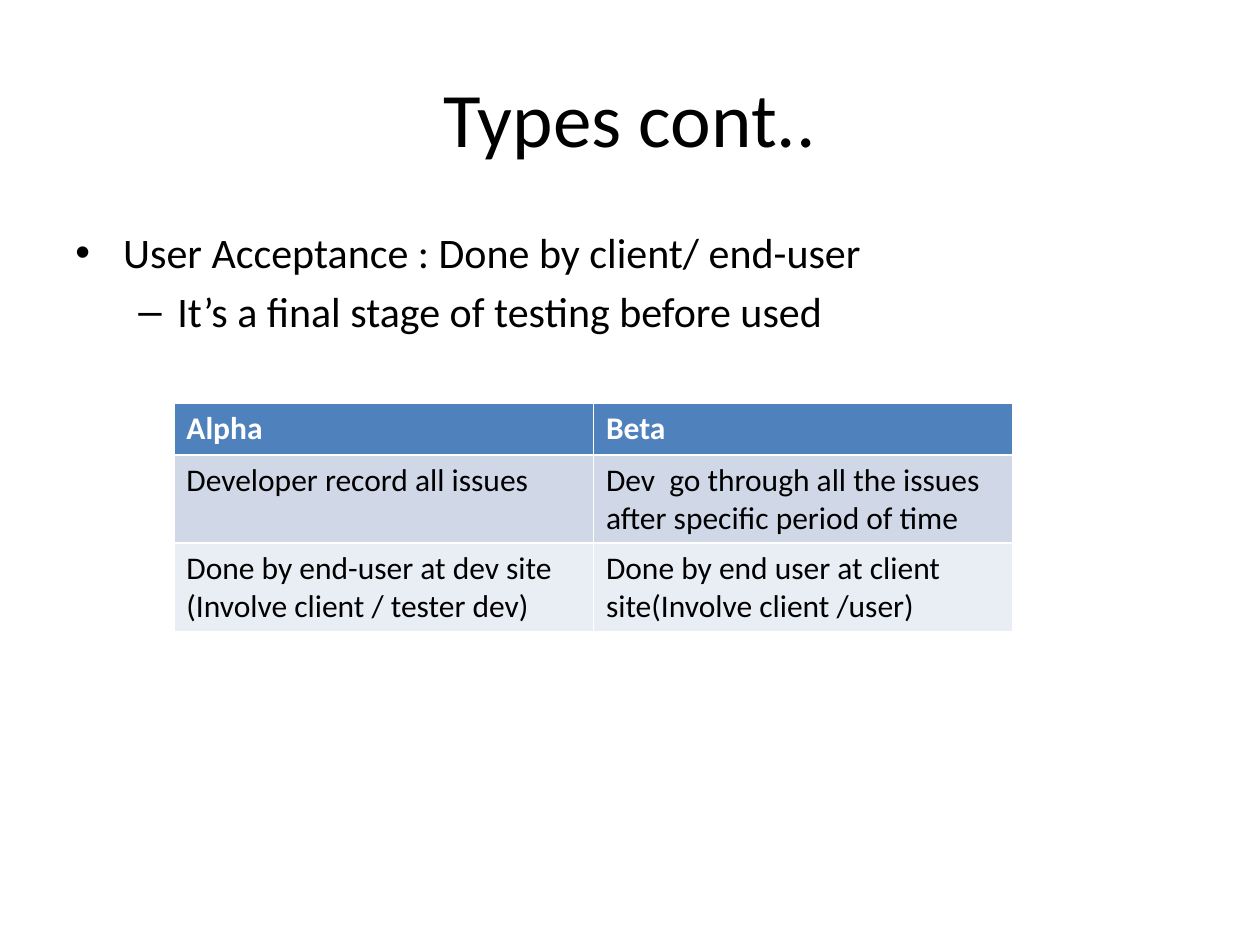
from lxml import etree
from pptx import Presentation
from pptx.dml.color import RGBColor
from pptx.enum.text import MSO_ANCHOR, PP_ALIGN
from pptx.oxml.ns import qn
from pptx.util import Inches, Pt

CENTER, LEFT = PP_ALIGN.CENTER, PP_ALIGN.LEFT
MIDDLE = MSO_ANCHOR.MIDDLE
TITLE_ONLY = 5

TITLE = "Types cont.."
BULLETS = [
    ("User Acceptance : Done by client/ end-user", "•", 0.38, 0.38),
    ("It’s a final stage of testing before used", "–", 0.81, 0.31),
]
ROWS = [
    ("Alpha", "Beta"),
    ("Developer record all issues",
     "Dev  go through all the issues after specific period of time"),
    ("Done by end-user at dev site (Involve client / tester dev)",
     "Done by end user at client site(Involve client /user)"),
]
ROW_FILLS = ["4F81BD", "D0D8E8", "E9EDF4"]
ROW_HEIGHTS = [0.41, 0.7, 0.7]
COLUMN_WIDTH = 3.33


def color(value):
    return RGBColor.from_string(value)


def write(paragraph, text, size=18, fill="000000", bold=False, align=LEFT):
    paragraph.alignment = align
    run = paragraph.add_run()
    run.text = text
    run.font.name = "Calibri"
    run.font.size = Pt(size)
    run.font.bold = bold
    run.font.color.rgb = color(fill)


def add_bullet(paragraph, character, margin, hanging):
    properties = paragraph._p.get_or_add_pPr()
    properties.set("marL", str(Inches(margin)))
    properties.set("indent", str(-Inches(hanging)))
    etree.SubElement(properties, qn("a:buFont"), typeface="Arial")
    etree.SubElement(properties, qn("a:buChar"), char=character)


def add_title(slide):
    title = slide.shapes.title
    title.left, title.top = Inches(0.5), Inches(0.3)
    title.width, title.height = Inches(9), Inches(1.25)
    title.text_frame.vertical_anchor = MIDDLE
    write(title.text_frame.paragraphs[0], TITLE, size=44, align=CENTER)


def add_body(slide):
    box = slide.shapes.add_textbox(Inches(0.5), Inches(1.75), Inches(9), Inches(4.95))
    frame = box.text_frame
    frame.word_wrap = True
    for level, (text, character, margin, hanging) in enumerate(BULLETS):
        paragraph = frame.add_paragraph() if level else frame.paragraphs[0]
        paragraph.level = level
        paragraph.space_before = Pt(4.8)
        add_bullet(paragraph, character, margin, hanging)
        write(paragraph, text, size=24)


def add_comparison(slide):
    columns = len(ROWS[0])
    table = slide.shapes.add_table(
        len(ROWS), columns, Inches(1.38), Inches(3.2),
        Inches(COLUMN_WIDTH * columns), Inches(sum(ROW_HEIGHTS))).table
    for column in table.columns:
        column.width = Inches(COLUMN_WIDTH)
    for index, (texts, fill, height) in enumerate(zip(ROWS, ROW_FILLS, ROW_HEIGHTS)):
        header = index == 0
        table.rows[index].height = Inches(height)
        for cell, text in zip(table.rows[index].cells, texts):
            cell.fill.solid()
            cell.fill.fore_color.rgb = color(fill)
            write(cell.text_frame.paragraphs[0], text, bold=header,
                  fill="FFFFFF" if header else "000000")


def main():
    presentation = Presentation()
    presentation.slide_width, presentation.slide_height = Inches(10), Inches(7.5)
    slide = presentation.slides.add_slide(presentation.slide_layouts[TITLE_ONLY])
    add_title(slide)
    add_body(slide)
    add_comparison(slide)
    presentation.save("out.pptx")


if __name__ == "__main__":
    main()
